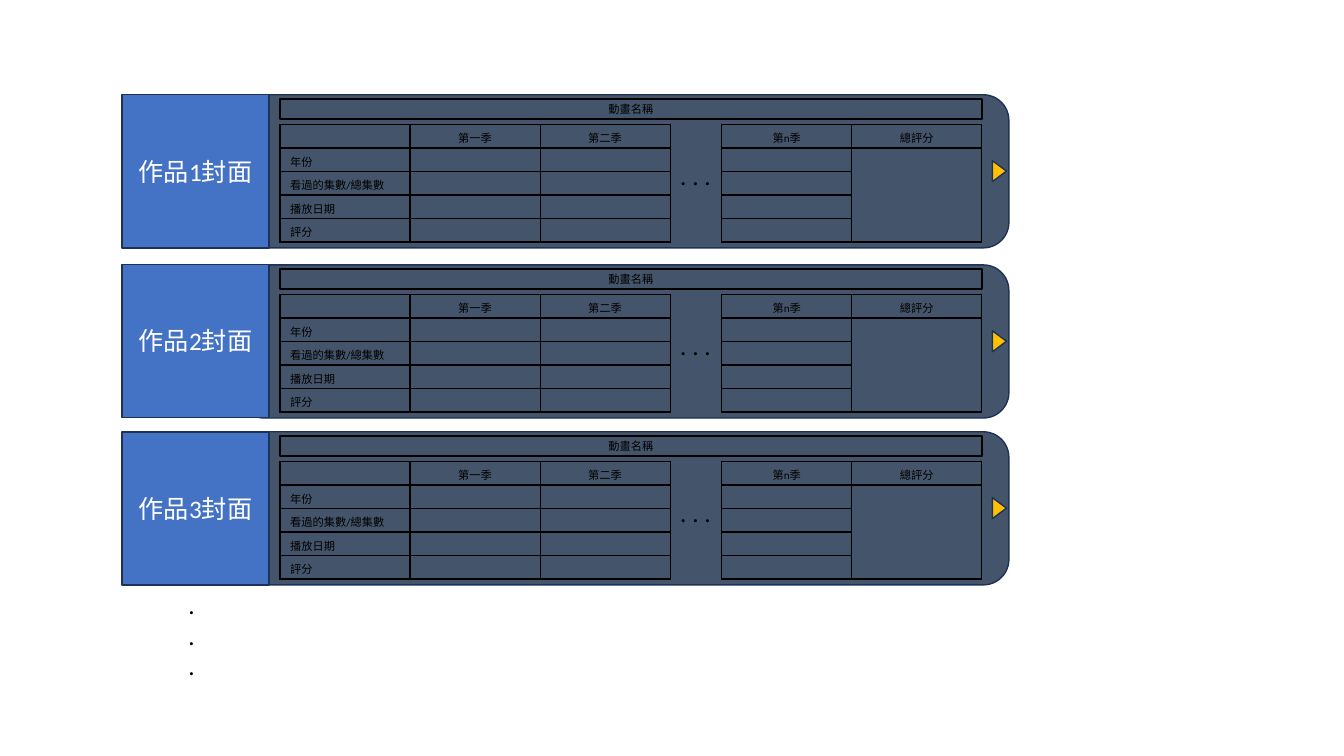
from dataclasses import dataclass

from lxml.etree import SubElement
from pptx import Presentation
from pptx.dml.color import RGBColor
from pptx.enum.shapes import MSO_SHAPE as Shape
from pptx.enum.text import MSO_ANCHOR as Anchor, MSO_AUTO_SIZE as AutoSize, PP_ALIGN as Align
from pptx.oxml.ns import qn
from pptx.util import Pt

FONT = "Calibri"
BLACK, WHITE, OUTLINE = "000000", "FFFFFF", "1E3256"
SLATE, BLUE, GOLD = "44546A", "4472C4", "FFC000"

COVER_LEFT, COVER_W = 87.1, 105.1
BAND_LEFT, BAND_W, BAND_H = 170.6, 550.1, 109.4
GRID_LEFT, COL_W, ROW_H = 200, 92.9, 16.8
LAST_GRID_LEFT = 515.5
HEADING_W = LAST_GRID_LEFT + 2 * COL_W - GRID_LEFT

SEASON_ROWS = [
    ["", "第一季", "第二季"],
    ["年份", "", ""],
    ["看過的集數/總集數", "", ""],
    ["播放日期", "", ""],
    ["評分", "", ""],
]
LAST_ROWS = [["第n季", "總評分"]] + [["", ""]] * 4


@dataclass
class Card:
    cover: str
    top: float
    cover_top: float


CARDS = [
    Card("作品1封面", 67.7, 67.7),
    Card("作品2封面", 189.2, 188.8),
    Card("作品3封面", 308.4, 308.6),
]


def rgb(color: str) -> RGBColor:
    return RGBColor.from_string(color)


def write(p, text: str, size: float, color: str = BLACK, align=Align.LEFT) -> None:
    p.text = text
    p.alignment = align
    p.font.name, p.font.size = FONT, Pt(size)
    p.font.color.rgb = rgb(color)


def add_box(s, kind, left: float, top: float, width: float, height: float,
            fill: str = "", line: str = OUTLINE, weight: float = 1):
    sp = s.shapes.add_shape(kind, Pt(left), Pt(top), Pt(width), Pt(height))
    sp.shadow.inherit = False
    if fill:
        sp.fill.solid()
        sp.fill.fore_color.rgb = rgb(fill)
    else:
        sp.fill.background()
    sp.line.color.rgb = rgb(line)
    sp.line.width = Pt(weight)
    return sp


def label(sp, text: str, size: float, color: str) -> None:
    sp.text_frame.vertical_anchor = Anchor.MIDDLE
    write(sp.text_frame.paragraphs[0], text, size, color, Align.CENTER)


def add_dots(s, lines: list[str], left: float, top: float, width: float,
             height: float, wrap: bool) -> None:
    tf = s.shapes.add_textbox(Pt(left), Pt(top), Pt(width), Pt(height)).text_frame
    tf.word_wrap = wrap
    tf.auto_size = AutoSize.SHAPE_TO_FIT_TEXT
    for i, line in enumerate(lines):
        write(tf.add_paragraph() if i else tf.paragraphs[0], line, 18)


def set_borders(cell) -> None:
    tc_pr = cell._tc.get_or_add_tcPr()
    for i, side in enumerate(("a:lnL", "a:lnR", "a:lnT", "a:lnB")):
        ln = tc_pr.makeelement(qn(side), {"w": str(Pt(1))})
        fill = SubElement(ln, qn("a:solidFill"))
        SubElement(fill, qn("a:srgbClr"), val=BLACK)
        tc_pr.insert(i, ln)


def add_grid(s, rows: list[list[str]], left: float, top: float):
    n_rows, n_cols = len(rows), len(rows[0])
    table = s.shapes.add_table(n_rows, n_cols, Pt(left), Pt(top),
                               Pt(n_cols * COL_W), Pt(n_rows * ROW_H)).table
    table.first_row = table.horz_banding = False
    for col in table.columns:
        col.width = Pt(COL_W)
    for r, row in enumerate(rows):
        table.rows[r].height = Pt(ROW_H)
        for c, text in enumerate(row):
            cell = table.cell(r, c)
            cell.fill.background()
            # No bottom margin, so that tall glyphs cannot stretch the row
            cell.margin_top, cell.margin_bottom = Pt(3.6), Pt(0)
            set_borders(cell)
            write(cell.text_frame.paragraphs[0], text, 8,
                  align=Align.LEFT if r else Align.CENTER)
    return table


def add_card(s, card: Card) -> None:
    # Band and arrow
    add_box(s, Shape.ROUNDED_RECTANGLE, BAND_LEFT, card.top, BAND_W, BAND_H, SLATE)
    arrow = add_box(s, Shape.ISOSCELES_TRIANGLE, 706.3, card.top + 49.5, 15.1, 10.1, GOLD)
    arrow.rotation = 90

    # Heading and season tables
    add_grid(s, SEASON_ROWS, GRID_LEFT, card.top + 21.2)
    heading = add_box(s, Shape.RECTANGLE, GRID_LEFT, card.top + 2.9, HEADING_W, 14.4,
                      line=BLACK, weight=1.5)
    label(heading, "動畫名稱", 8, BLACK)
    add_dots(s, [". . ."], 478.8, card.top + 43.2, 36.7, 29, False)
    last = add_grid(s, LAST_ROWS, LAST_GRID_LEFT, card.top + 21.2)
    last.cell(1, 1).merge(last.cell(4, 1))

    # Cover
    cover = add_box(s, Shape.RECTANGLE, COVER_LEFT, card.cover_top, COVER_W, BAND_H, BLUE)
    label(cover, card.cover, 18, WHITE)


def main() -> None:
    prs = Presentation()
    prs.slide_width, prs.slide_height = Pt(960), Pt(540)
    s = prs.slides.add_slide(prs.slide_layouts[6])
    for card in CARDS:
        add_card(s, card)
    # More works follow
    add_dots(s, ["."] * 3, 127.4, 417.6, 25.2, 72.7, True)
    prs.save("out.pptx")


if __name__ == "__main__":
    main()
